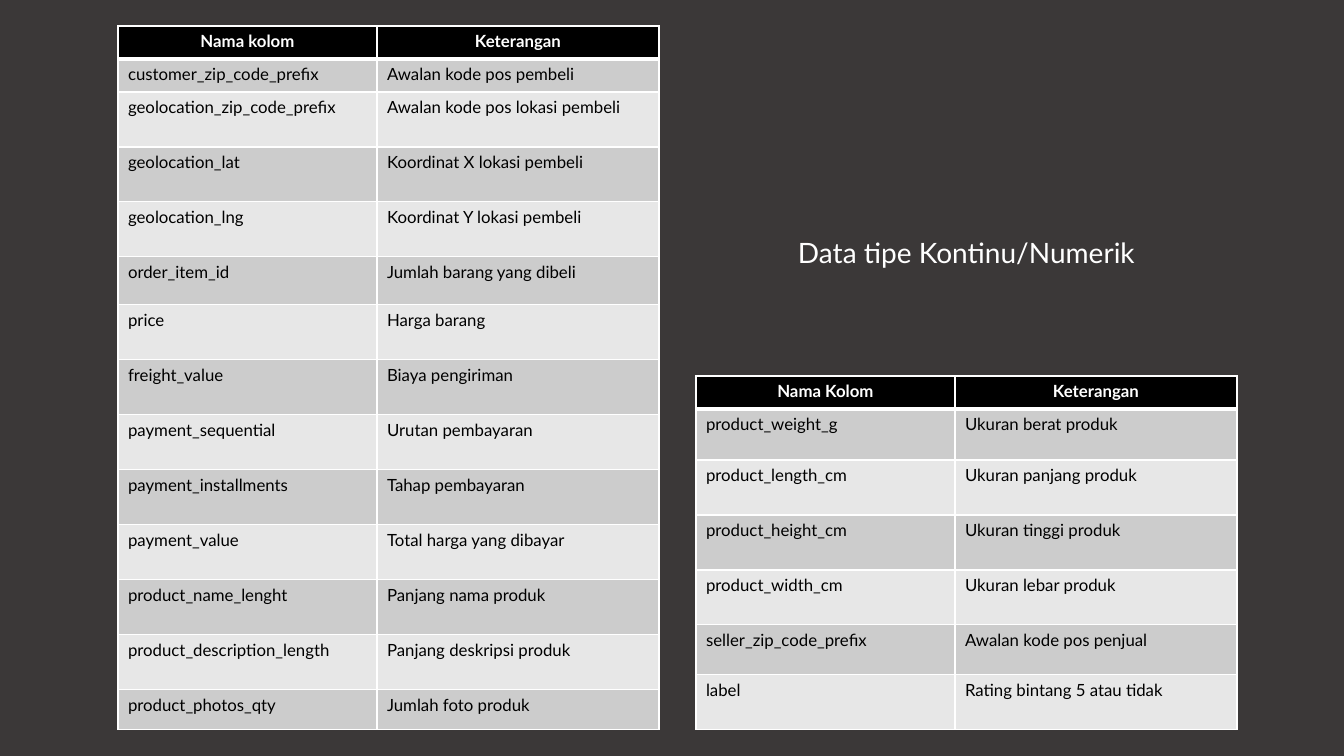
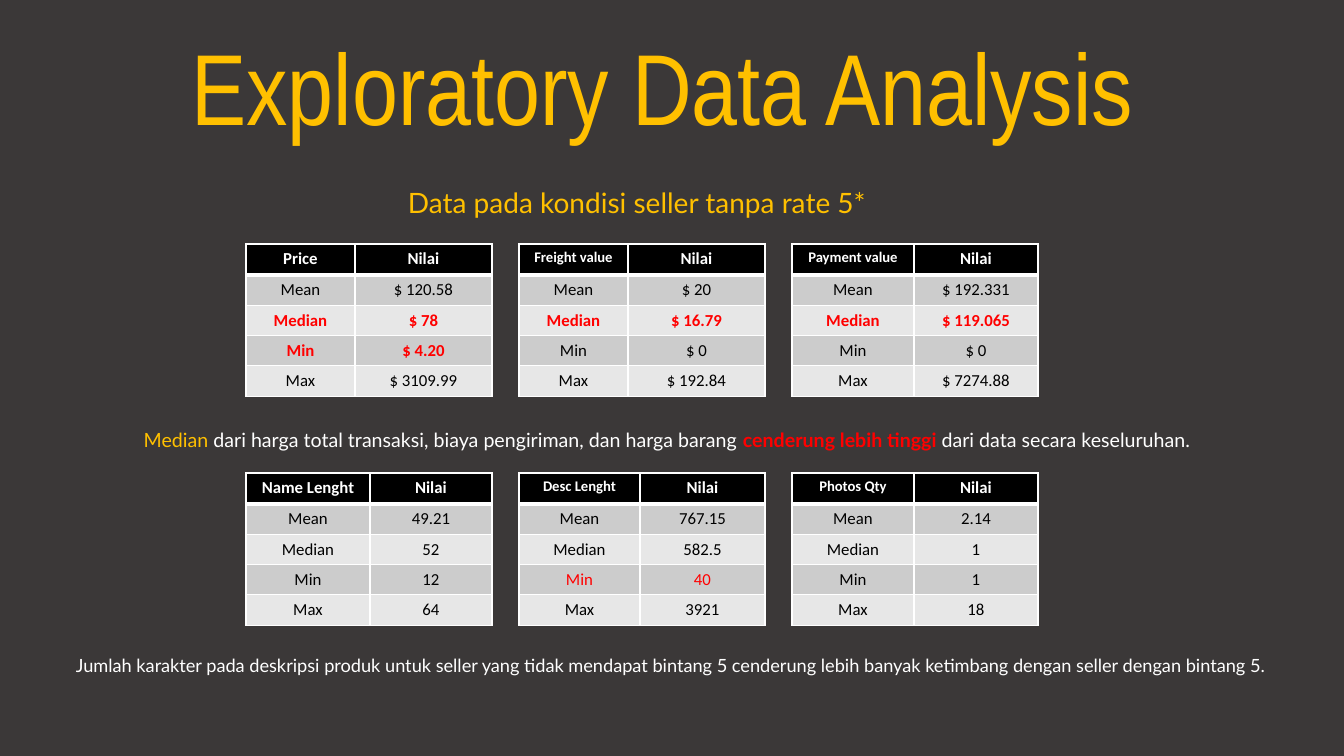
from lxml.etree import SubElement
from pptx import Presentation
from pptx.dml.color import RGBColor
from pptx.enum.text import MSO_ANCHOR as Anchor, PP_ALIGN as Align
from pptx.oxml.ns import qn
from pptx.util import Emu, Pt

SLIDE_W, SLIDE_H = 1344, 756
EMU_PER_PX = 12192000 / SLIDE_W

DARK, WHITE, BLACK = "3B3838", "FFFFFF", "000000"
GOLD, RED = "FFC000", "FF0000"
BANDS = ("CCCCCC", "E7E7E7")


def px(length):
    return Emu(round(length * EMU_PER_PX))


def color(hex_string):
    return RGBColor.from_string(hex_string)


def add_text(page, place, spans, size, font="Lato", anchor=Anchor.BOTTOM, before=10):
    """Centred text; each span is (text, colour, bold)."""
    frame = page.shapes.add_textbox(*map(px, place)).text_frame
    frame.word_wrap = True
    frame.vertical_anchor = anchor
    para = frame.paragraphs[0]
    para.alignment = Align.CENTER
    para.line_spacing = 0.9
    para.space_before = Pt(before)
    for text, hue, bold in spans:
        span = para.add_run()
        span.text = text
        span.font.name, span.font.size, span.font.bold = font, Pt(size), bold
        span.font.color.rgb = color(hue)


def add_grid(page, left, top, widths, heights, rows, font, body_align,
             title_size=12, red_rows=(), red_bold=False):
    """Banded table with a black header and white rules."""
    table = page.shapes.add_table(
        len(rows), len(widths), px(left), px(top),
        px(sum(widths)), px(sum(heights))).table
    for column, width in zip(table.columns, widths):
        column.width = px(width)
    for r, (row, height) in enumerate(zip(rows, heights)):
        table.rows[r].height = px(height)
        header, red = r == 0, row[0] in red_rows
        for c, text in enumerate(row):
            cell = table.cell(r, c)

            # Borders, thick between header and body
            thick = {0: "lnB", 1: "lnT"}.get(r)
            for side in ("lnL", "lnR", "lnT", "lnB"):
                weight = Pt(3 if side == thick else 1)
                line = SubElement(cell._tc.get_or_add_tcPr(), qn(f"a:{side}"), w=str(weight))
                SubElement(SubElement(line, qn("a:solidFill")), qn("a:srgbClr"), val=WHITE)
            cell.fill.solid()
            cell.fill.fore_color.rgb = color(BLACK if header else BANDS[(r - 1) % 2])

            # Text
            cell.text_frame.text = text
            para = cell.text_frame.paragraphs[0]
            para.alignment = Align.CENTER if header else body_align
            span = para.runs[0]
            span.font.name = font
            span.font.size = Pt(title_size if header and c == 0 else 12)
            span.font.bold = header or (red and red_bold)
            span.font.color.rgb = color(WHITE if header else RED if red else BLACK)


deck = Presentation()
deck.slide_width, deck.slide_height = px(SLIDE_W), px(SLIDE_H)
pages = [deck.slides.add_slide(deck.slide_layouts[6]) for _ in range(2)]
for page in pages:
    page.background.fill.solid()
    page.background.fill.fore_color.rgb = color(DARK)
columns_page, analysis_page = pages

# Slide 1: numeric columns and their meaning
buyer_columns = [
    ("Nama kolom", "Keterangan"),
    ("customer_zip_code_prefix", "Awalan kode pos pembeli"),
    ("geolocation_zip_code_prefix", "Awalan kode pos lokasi pembeli"),
    ("geolocation_lat", "Koordinat X lokasi pembeli"),
    ("geolocation_lng", "Koordinat Y lokasi pembeli"),
    ("order_item_id", "Jumlah barang yang dibeli"),
    ("price", "Harga barang"),
    ("freight_value", "Biaya pengiriman"),
    ("payment_sequential", "Urutan pembayaran"),
    ("payment_installments", "Tahap pembayaran"),
    ("payment_value", "Total harga yang dibayar"),
    ("product_name_lenght", "Panjang nama produk"),
    ("product_description_length", "Panjang deskripsi produk"),
    ("product_photos_qty", "Jumlah foto produk"),
]
product_columns = [
    ("Nama Kolom", "Keterangan"),
    ("product_weight_g", "Ukuran berat produk"),
    ("product_length_cm", "Ukuran panjang produk"),
    ("product_height_cm", "Ukuran tinggi produk"),
    ("product_width_cm", "Ukuran lebar produk"),
    ("seller_zip_code_prefix", "Awalan kode pos penjual"),
    ("label", "Rating bintang 5 atau tidak"),
]
buyer_heights = [33, 33] + [55] * 3 + [48] + [55] * 7 + [40]
product_heights = [33, 51] + [55] * 3 + [50, 55]
for left, top, heights, rows in (
    (118, 26, buyer_heights, buyer_columns),
    (696, 376, product_heights, product_columns),
):
    add_grid(columns_page, left, top, (259, 282), heights, rows, "Lato", Align.LEFT)
add_text(columns_page, (682, 215, 569, 60),
         [("Data tipe Kontinu/Numerik", WHITE, False)], 20)

# Slide 2: title and subtitle
add_text(analysis_page, (83, 20, 1159, 146),
         [("Exploratory Data Analysis", GOLD, False)],
         72, "Arial Narrow", Anchor.MIDDLE, 0)
add_text(analysis_page, (370, 165, 534, 60),
         [("Data pada kondisi seller tanpa rate 5*", GOLD, False)], 20)

# Slide 2: two rows of three statistics tables
# (name, name size, first column width, values, red rows)
money_stats = [
    ("Price", 12, 109, ("$ 120.58", "$ 78", "$ 4.20", "$ 3109.99"), ("Median", "Min")),
    ("Freight value", 10.5, 109, ("$ 20", "$ 16.79", "$ 0", "$ 192.84"), ("Median",)),
    ("Payment value", 10.5, 122, ("$ 192.331", "$ 119.065", "$ 0", "$ 7274.88"), ("Median",)),
]
product_stats = [
    ("Name Lenght", 12, 124, ("49.21", "52", "12", "64"), ()),
    ("Desc Lenght", 10.5, 121, ("767.15", "582.5", "40", "3921"), ("Min",)),
    ("Photos Qty", 10.5, 122, ("2.14", "1", "1", "18"), ()),
]
STAT_WIDTH, STAT_STEP = 246, 273
for top, stats, red_bold in ((244, money_stats, True), (473, product_stats, False)):
    for i, (name, size, first, values, red_rows) in enumerate(stats):
        rows = [(name, "Nilai"), *zip(("Mean", "Median", "Min", "Max"), values)]
        add_grid(analysis_page, 246 + i * STAT_STEP, top, (first, STAT_WIDTH - first),
                 [31] + [30] * 4, rows, "Calibri", Align.CENTER, size, red_rows, red_bold)

# Slide 2: findings under each row
add_text(analysis_page, (35, 397, 1264, 60), [
    ("Median ", GOLD, False),
    ("dari harga total transaksi, biaya pengiriman, dan harga barang ", WHITE, False),
    ("cenderung lebih tinggi ", RED, True),
    ("dari data secara keseluruhan.", WHITE, False),
], 14)
add_text(analysis_page, (38, 621, 1264, 60), [
    ("Jumlah karakter pada deskripsi produk untuk seller yang tidak mendapat bintang 5 "
     "cenderung lebih banyak ketimbang dengan seller dengan bintang 5.", WHITE, False),
], 13)

deck.save("out.pptx")
